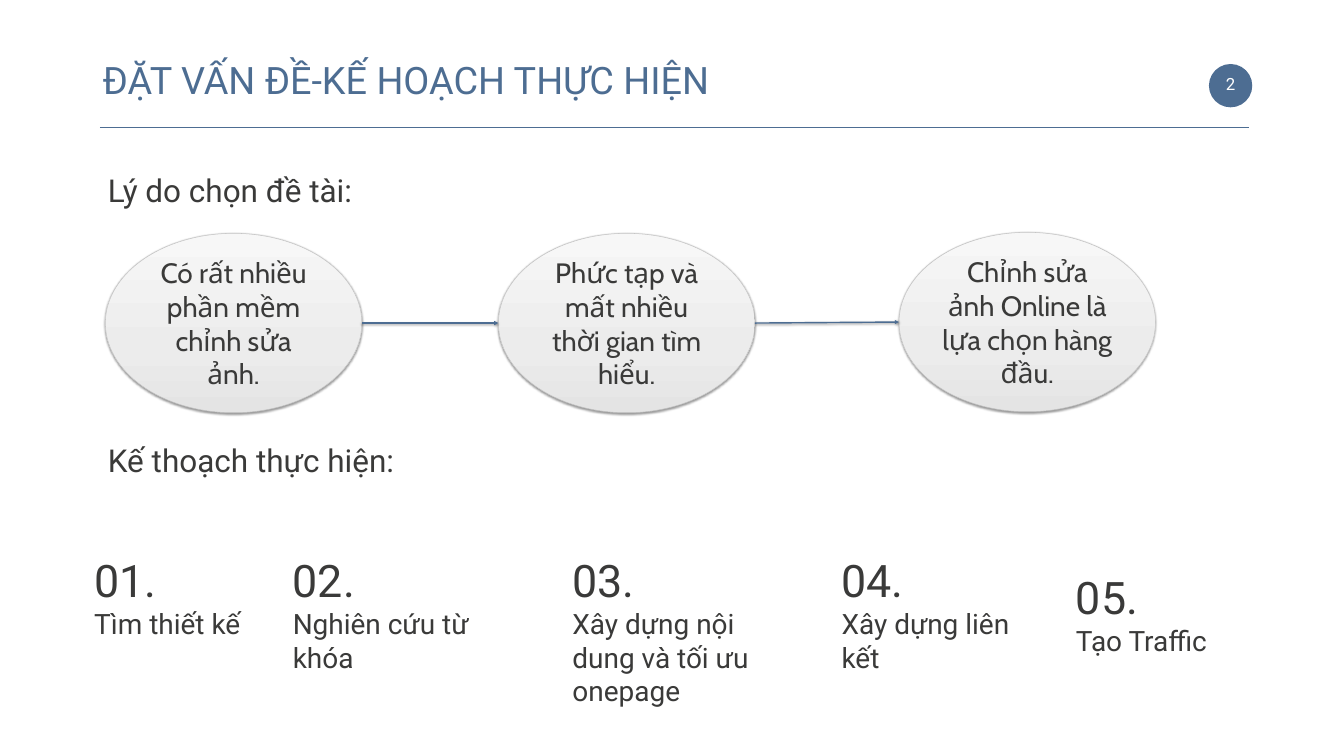
from itertools import pairwise

from lxml import etree
from pptx import Presentation
from pptx.dml.color import RGBColor
from pptx.enum import shapes, text
from pptx.oxml import parse_xml
from pptx.oxml.ns import nsdecls, qn
from pptx.util import Inches, Pt

BLUE, INK, WHITE, EDGE = "4D6D92", "3A3A39", "FFFFFF", "C1C1C1"
GRADIENT = [(0, "E4E4E4"), (35, "ECECEC"), (100, "F7F7F7")]
REASON_SIZE = (5.09, 3.56)
REASONS = [
    (2.09, 4.63, "Có rất nhiều phần mềm chỉnh sửa ảnh."),
    (9.89, 4.63, "Phức tạp và mất nhiều thời gian tìm hiểu."),
    (17.84, 4.61, "Chỉnh sửa ảnh Online là lựa chọn hàng đầu."),
]
STEPS = [
    ((1.67, 10.87, 3.88, 1.95), "Tìm thiết kế"),
    ((5.61, 10.87, 4.69, 2.63), "Nghiên cứu từ khóa"),
    ((11.16, 10.87, 4.35, 3.3), "Xây dựng nội dung và tối ưu onepage"),
    ((16.5, 10.87, 4.35, 2.63), "Xây dựng liên kết"),
    ((21.15, 11.2, 4.35, 1.95), "Tạo Traffic"),
]


def color(value):
    return RGBColor.from_string(value)


def write(frame, lines, inset=(0.1, 0.05), align=text.PP_ALIGN.LEFT,
          anchor=text.MSO_ANCHOR.TOP):
    frame.word_wrap = True
    frame.vertical_anchor = anchor
    frame.margin_left = frame.margin_right = Inches(inset[0])
    frame.margin_top = frame.margin_bottom = Inches(inset[1])
    for index, (words, size, name, ink) in enumerate(lines):
        paragraph = frame.add_paragraph() if index else frame.paragraphs[0]
        paragraph.text = words
        paragraph.alignment = align
        paragraph.font.size = Pt(size)
        paragraph.font.name = name
        paragraph.font.color.rgb = color(ink)


def add_text(slide, box, lines, **options):
    shape = slide.shapes.add_textbox(*map(Inches, box))
    write(shape.text_frame, lines, **options)


def add_effects(shape, shadow=False):
    effects = etree.SubElement(shape._element.spPr, qn("a:effectLst"))
    if shadow:
        effects.append(parse_xml(
            f'<a:outerShdw {nsdecls("a")} blurRad="{Pt(3.1)}" dist="{Pt(1.6)}" '
            'dir="5400000" rotWithShape="0"><a:srgbClr val="000000">'
            '<a:alpha val="38000"/></a:srgbClr></a:outerShdw>'))


def add_line(slide, start, end, width, arrow=False):
    line = slide.shapes.add_connector(
        shapes.MSO_CONNECTOR.STRAIGHT, *map(Inches, (*start, *end)))
    line.line.color.rgb = color(BLUE)
    line.line.width = Pt(width)
    if arrow:
        outline = line._element.spPr.find(qn("a:ln"))
        etree.SubElement(outline, qn("a:tailEnd"), type="triangle")
    add_effects(line, shadow=arrow)


def add_ellipse(slide, box):
    return slide.shapes.add_shape(shapes.MSO_SHAPE.OVAL, *map(Inches, box))


def add_header(slide, left, top, width, title, number):
    badge = add_ellipse(slide, (left + 22.05, top + 0.2, 0.86, 0.86))
    badge.shadow.inherit = False
    badge.fill.solid()
    badge.fill.fore_color.rgb = color(BLUE)
    badge.line.fill.background()
    add_line(slide, (left + 0.04, top + 1.46), (left + width, top + 1.46), 2.25)
    add_text(slide, (left + 21.97, top + 0.23, 1.02, 0.73),
             [(number, 24, "Roboto", WHITE)], inset=(0.24, 0.12),
             align=text.PP_ALIGN.CENTER, anchor=text.MSO_ANCHOR.MIDDLE)
    add_text(slide, (left, top, 18.9, 1.01), [(title, 54, "Roboto", BLUE)])


def add_heading(slide, box, words):
    add_text(slide, box, [(words, 45, "Roboto", INK)], inset=(0.2, 0.1))


def add_reason(slide, box, words):
    ellipse = add_ellipse(slide, box)
    ellipse.fill.gradient()
    ellipse.fill.gradient_angle = 90
    stops = ellipse._element.spPr.find(f'{qn("a:gradFill")}/{qn("a:gsLst")}')
    for stop in list(stops):
        stops.remove(stop)
    for position, value in GRADIENT:
        stop = etree.SubElement(stops, qn("a:gs"), pos=str(position * 1000))
        etree.SubElement(stop, qn("a:srgbClr"), val=value)
    ellipse.line.color.rgb = color(EDGE)
    ellipse.line.width = Pt(0.75)
    add_effects(ellipse, shadow=True)
    write(ellipse.text_frame, [(words, 40, "Cabin", INK)],
          align=text.PP_ALIGN.CENTER, anchor=text.MSO_ANCHOR.MIDDLE)


def add_reasons(slide, reasons, size):
    width, height = size
    for left, top, words in reasons:
        add_reason(slide, (left, top, width, height), words)
    for (left, top, _), (next_left, next_top, _) in pairwise(reasons):
        add_line(slide, (left + width, top + height / 2),
                 (next_left, next_top + height / 2), 2, arrow=True)


def add_step(slide, box, number, words):
    add_text(slide, box, [(f"{number:02}.", 64, "Roboto", INK),
                          (words, 40, "Roboto", INK)], inset=(0.2, 0.1))


def main():
    presentation = Presentation()
    presentation.slide_width = Inches(26.67)
    presentation.slide_height = Inches(15)
    slide = presentation.slides.add_slide(presentation.slide_layouts[6])
    add_header(slide, 1.94, 1.07, 22.85, "ĐẶT VẤN ĐỀ-KẾ HOẠCH THỰC HIỆN", "2")
    add_heading(slide, (1.94, 3.3, 6.89, 1.41), "Lý do chọn đề tài:")
    add_reasons(slide, REASONS, REASON_SIZE)
    add_heading(slide, (1.94, 8.65, 6.89, 0.96), "Kế thoạch thực hiện:")
    for number, (box, words) in enumerate(STEPS, 1):
        add_step(slide, box, number, words)
    presentation.save("out.pptx")


if __name__ == "__main__":
    main()
